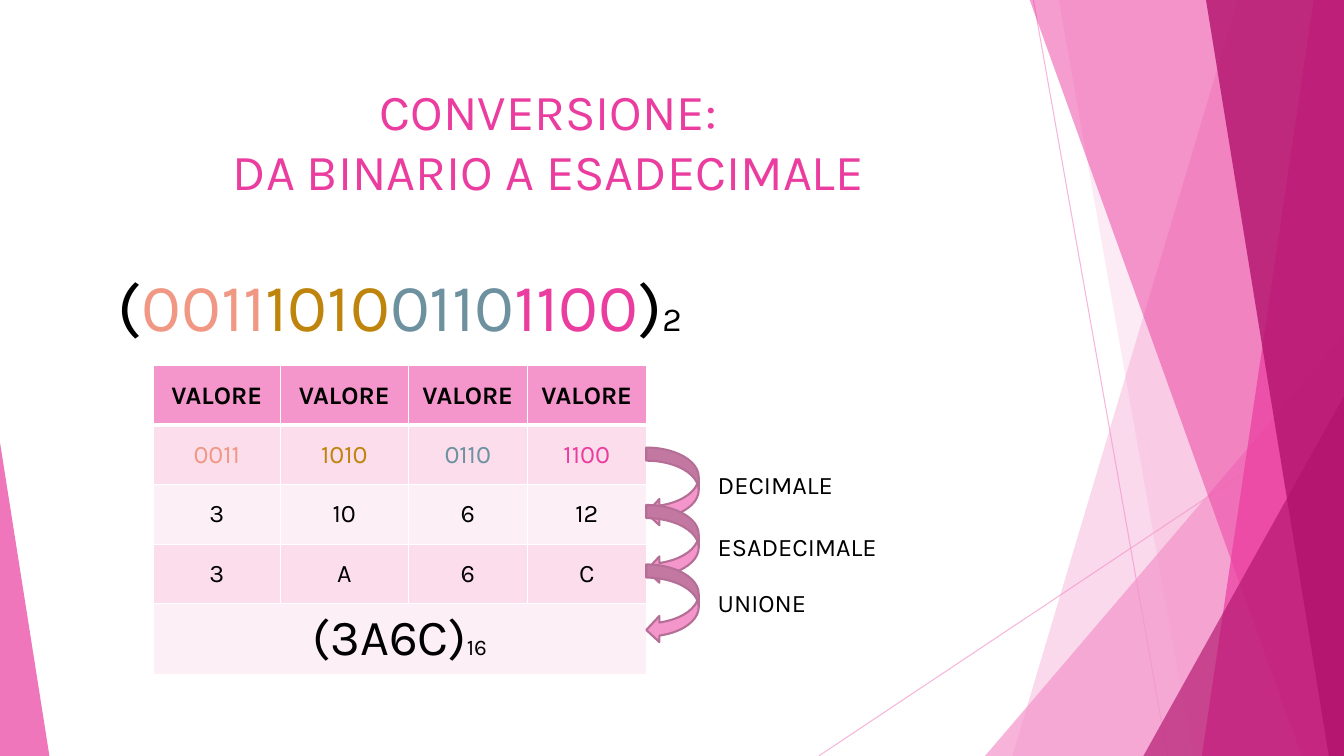
from dataclasses import dataclass

from lxml import etree
from pptx import Presentation
from pptx import util as u
from pptx.dml.color import RGBColor
from pptx.enum import shapes, text
from pptx.oxml import ns

PX = 9144


@dataclass(frozen=True)
class Theme:
    font: str = "Karla"
    black: str = "000000"
    white: str = "FFFFFF"
    pink: str = "F496CB"
    magenta: str = "EB3D9F"
    plum: str = "B2136D"
    outline: str = "B56F96"
    bands: tuple = ("FBDDEC", "FDEFF6")
    nibbles: tuple = ("F09883", "BE840B", "6E91A0", "EB3D9F")
    heading: int = 36
    number: int = 48
    number_base: int = 24
    body: int = 18
    result_base: int = 16


THEME = Theme()
BINARY = ("0011", "1010", "0110", "1100")


def px(*lengths):
    return [u.Emu(length * PX) for length in lengths]


def set_alpha(fill, color, alpha):
    fill.solid()
    fill.fore_color.rgb = RGBColor.from_string(color)
    for tint in fill._xPr.iter(ns.qn("a:srgbClr")):
        etree.SubElement(tint, ns.qn("a:alpha")).set("val", str(alpha * 1000))


def paint(shape, color, alpha=100, outline=None):
    shape.shadow.inherit = False
    set_alpha(shape.fill, color, alpha)
    if outline:
        shape.line.color.rgb = RGBColor.from_string(outline)
        shape.line.width = u.Pt(1.5)
    else:
        shape.line.fill.background()


def add_ray(page, start, end):
    ray = page.shapes.add_connector(shapes.MSO_CONNECTOR.STRAIGHT, *px(*start, *end))
    ray.line.width = u.Pt(0.75)
    set_alpha(ray.line.fill, THEME.pink, 70)
    etree.SubElement(ray._element.spPr, ns.qn("a:effectLst"))


def add_band(page, top_left, bottom_left, bottom_right, color, alpha):
    builder = page.shapes.build_freeform(top_left, -1, scale=PX)
    builder.add_line_segments([(1333, -1), (1333, 750), (bottom_right, 750), (bottom_left, 750)])
    paint(builder.convert_to_shape(), color, alpha)


def add_triangle(page, box, apex, color, alpha):
    triangle = page.shapes.add_shape(shapes.MSO_SHAPE.ISOSCELES_TRIANGLE, *px(*box))
    triangle.adjustments[0] = apex
    paint(triangle, color, alpha)


def write(frame, spans, size=THEME.body, color=THEME.black, bold=False, align=text.PP_ALIGN.LEFT):
    para = frame.paragraphs[0]
    para.alignment = align
    for words, own in spans:
        for index, line in enumerate(words.split("\n")):
            if index:
                para.add_line_break()
            span = para.add_run()
            span.text = line
            span.font.name = THEME.font
            span.font.size = u.Pt(own.get("size", size))
            span.font.bold = bold
            span.font.color.rgb = RGBColor.from_string(own.get("color", color))


def add_text(page, box, spans, wrap=True, anchor=text.MSO_ANCHOR.TOP, **style):
    frame = page.shapes.add_textbox(*px(*box)).text_frame
    frame.word_wrap = wrap
    frame.vertical_anchor = anchor
    write(frame, spans, **style)


def set_border(cell, side, width):
    edge = etree.SubElement(cell._tc.get_or_add_tcPr(), ns.qn(f"a:ln{side}"))
    edge.set("w", str(u.Pt(width)))
    fill = etree.SubElement(edge, ns.qn("a:solidFill"))
    etree.SubElement(fill, ns.qn("a:srgbClr")).set("val", THEME.white)


def fill_cell(cell, row, spans, **style):
    for side in "LRTB":
        thick = (row, side) in ((0, "B"), (1, "T"))
        set_border(cell, side, 3 if thick else 1)
    cell.fill.solid()
    color = THEME.bands[(row - 1) % 2] if row else THEME.pink
    cell.fill.fore_color.rgb = RGBColor.from_string(color)
    cell.vertical_anchor = text.MSO_ANCHOR.MIDDLE
    write(cell.text_frame, spans, bold=row == 0, align=text.PP_ALIGN.CENTER, **style)


def add_values(page):
    rows = [("VALORE",) * 4, BINARY, ("3", "10", "6", "12"), ("3", "A", "6", "C")]
    table = page.shapes.add_table(5, 4, *px(152, 363, 489, 305)).table
    for column, width in zip(table.columns, px(126, 127, 118, 118)):
        column.width = width
    for row, height in zip(table.rows, px(59, 59, 59, 59, 69)):
        row.height = height
    for row, values in enumerate(rows):
        for column, value in enumerate(values):
            color = THEME.nibbles[column] if values is BINARY else THEME.black
            fill_cell(table.cell(row, column), row, [(value, {})], color=color)
    table.cell(4, 0).merge(table.cell(4, 3))
    result = [("(3A6C)", {}), ("16", {"size": THEME.result_base})]
    fill_cell(table.cell(4, 0), 4, result, size=THEME.heading)


def add_step(page, arrow_top, label_top, label):
    arrow = page.shapes.add_shape(shapes.MSO_SHAPE.CURVED_LEFT_ARROW, *px(641, arrow_top, 52, 78))
    paint(arrow, THEME.pink, outline=THEME.outline)
    add_text(page, (702, label_top, 202, 40), [(label, {})])


def add_backdrop(page):
    add_ray(page, (1025, 0), (1158, 750))
    add_ray(page, (1333, 403), (812, 750))
    add_band(page, 1228, 1004, 1333, THEME.pink, 36)
    add_band(page, 1050, 1183, 1333, THEME.pink, 20)
    add_triangle(page, (977, 333, 356, 417), 1, THEME.pink, 72)
    add_band(page, 1021, 1291, 1333, THEME.magenta, 50)
    add_band(page, 1303, 1192, 1333, THEME.magenta, 70)
    add_band(page, 1196, 1318, 1333, THEME.plum, 80)
    add_triangle(page, (1134, 393, 199, 357), 1, THEME.plum, 66)
    add_triangle(page, (0, 439, 49, 311), 0, THEME.magenta, 70)


def main():
    deck = Presentation()
    deck.slide_width, deck.slide_height = px(1333, 750)
    page = deck.slides.add_slide(deck.slide_layouts[6])
    add_backdrop(page)
    add_text(page, (74, 67, 940, 144), [("CONVERSIONE:\nDA BINARIO A ESADECIMALE", {})],
             anchor=text.MSO_ANCHOR.MIDDLE, size=THEME.heading, color=THEME.magenta,
             align=text.PP_ALIGN.CENTER)
    add_values(page)
    digits = [(bits, {"color": color}) for bits, color in zip(BINARY, THEME.nibbles)]
    add_text(page, (71, 257, 651, 91),
             [("(", {}), *digits, (")", {}), ("2", {"size": THEME.number_base})],
             wrap=False, size=THEME.number, align=text.PP_ALIGN.CENTER)
    for step in ((444, 461, "DECIMALE"), (501, 522, "ESADECIMALE"), (560, 578, "UNIONE")):
        add_step(page, *step)
    deck.save("out.pptx")


if __name__ == "__main__":
    main()
